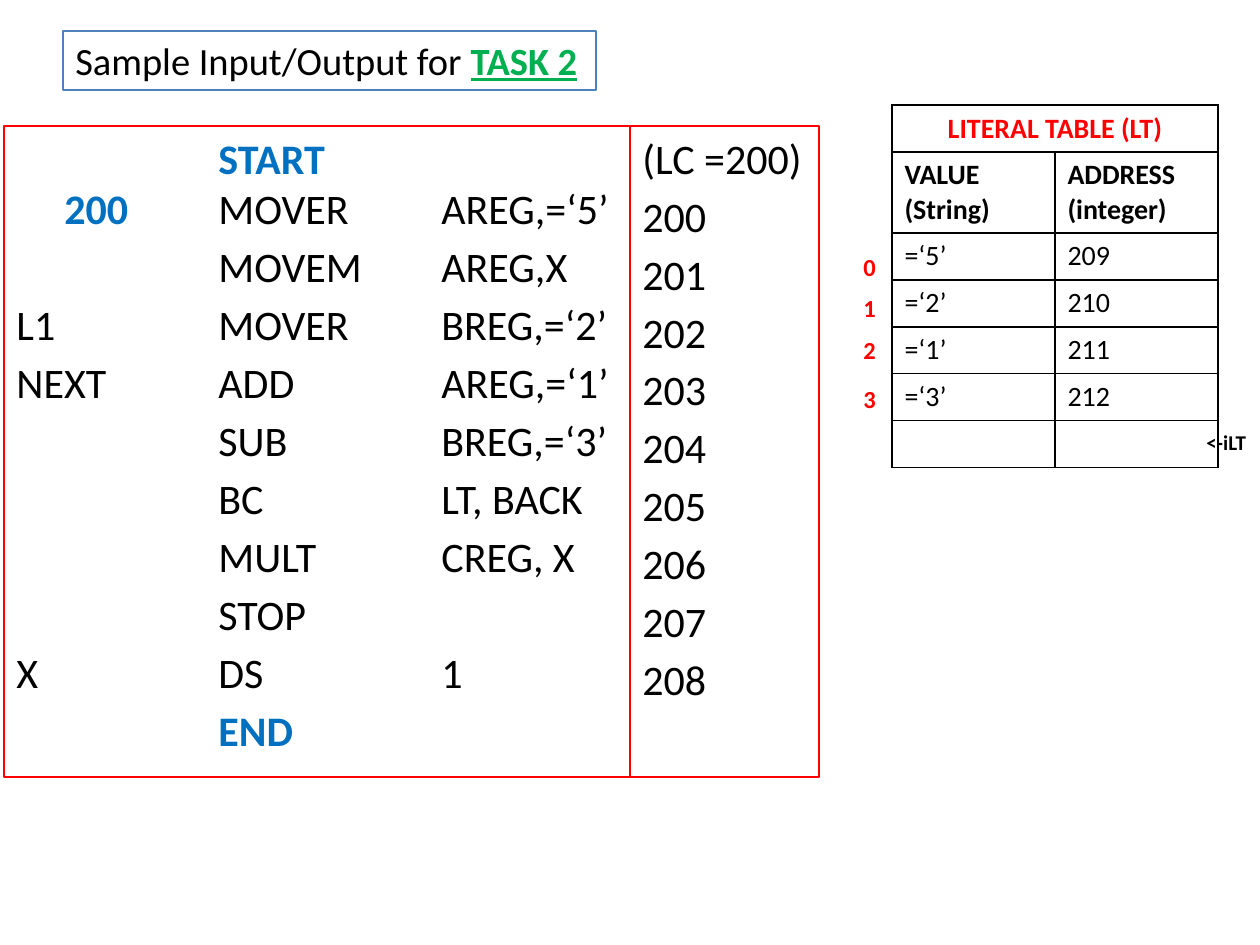
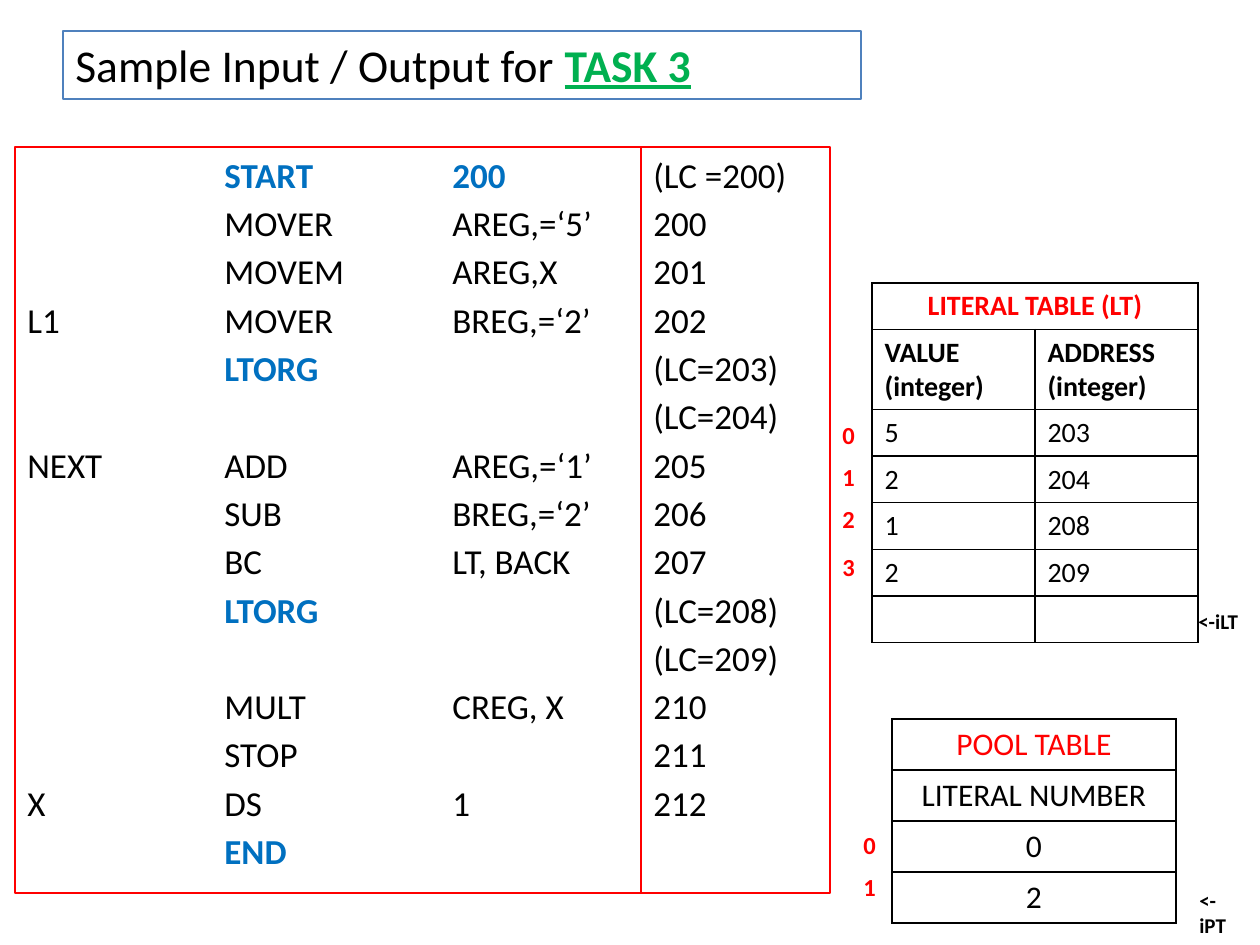
from lxml import etree
from pptx import Presentation
from pptx.dml.color import RGBColor
from pptx.enum.shapes import MSO_SHAPE
from pptx.enum.text import MSO_ANCHOR, MSO_AUTO_SIZE, PP_ALIGN
from pptx.oxml.ns import qn
from pptx.util import Emu, Pt

PIXEL = 914400 // 126
FONT = "Calibri"
COLORS = {
    "text": "000000",
    "heading": "FF0000",
    "directive": "0070C0",
    "task": "00B050",
    "title_line": "4F81BD",
    "panel_line": "FF0000",
    "grid": "000000",
}
DIRECTIVES = {"START", "LTORG", "END", "200"}
HANGING = 48

TASK2_PROGRAM = [
    ("", "START"),
    ("\t200", "MOVER", "AREG,=‘5’"),
    ("", "MOVEM", "AREG,X"),
    ("L1", "MOVER", "BREG,=‘2’"),
    ("NEXT", "ADD", "AREG,=‘1’"),
    ("", "SUB", "BREG,=‘3’"),
    ("", "BC", "LT, BACK"),
    ("", "MULT", "CREG, X"),
    ("", "STOP"),
    ("X", "DS", "1"),
    ("", "END"),
]
TASK3_PROGRAM = [
    ("", "START", "200"),
    ("", "MOVER", "AREG,=‘5’"),
    ("", "MOVEM", "AREG,X"),
    ("L1", "MOVER", "BREG,=‘2’"),
    ("", "LTORG"),
    (),
    ("NEXT", "ADD", "AREG,=‘1’"),
    ("", "SUB", "BREG,=‘2’"),
    ("", "BC", "LT, BACK"),
    ("", "LTORG"),
    (),
    ("", "MULT", "CREG, X"),
    ("", "STOP"),
    ("X", "DS", "1"),
    ("", "END"),
]
TASK2_COUNTER = ["(LC =200)"] + [str(n) for n in range(200, 209)]
TASK3_COUNTER = ["(LC =200)"] + [
    f"(LC={n})" if n in (203, 204, 208, 209) else str(n) for n in range(200, 213)
]


def px(length):
    """Turn pixels into EMU."""
    return Emu(round(length * PIXEL))


def style(font, size, color="text", bold=False):
    """Set typeface, size, colour and weight of a font."""
    font.name = FONT
    font.size = Pt(size)
    font.bold = bold
    font.color.rgb = RGBColor.from_string(COLORS[color])


def add_frame(slide, box, line):
    """Add an unfilled outlined rectangle and return its text frame."""
    frame = slide.shapes.add_shape(MSO_SHAPE.RECTANGLE, *map(px, box))
    frame.shadow.inherit = False
    frame.fill.background()
    frame.line.color.rgb = RGBColor.from_string(COLORS[line])
    frame.line.width = Pt(0.75)
    frame.text_frame.word_wrap = True
    frame.text_frame.vertical_anchor = MSO_ANCHOR.TOP
    return frame.text_frame


def add_title(slide, width, height, lead, task, size):
    """Add the boxed title with its underlined task name."""
    frame = add_frame(slide, (63, 31, width, height), "title_line")
    title = frame.paragraphs[0]
    title.alignment = PP_ALIGN.LEFT
    for words, color, marked in ((lead, "text", False), (task, "task", True)):
        run = title.add_run()
        run.text = words
        style(run.font, size, color, marked)
        run.font.underline = marked


def set_tabs(paragraph, stops):
    """Give a paragraph left tab stops at the given pixels."""
    tabs = etree.SubElement(paragraph._p.get_or_add_pPr(), qn("a:tabLst"))
    for stop in stops:
        etree.SubElement(tabs, qn("a:tab"), pos=str(px(stop)), algn="l")


def add_listing(slide, box, lines, size, stops=()):
    """Add a panel of tabbed program lines, with directives highlighted."""
    frame = add_frame(slide, box, "panel_line")
    for number, fields in enumerate(lines):
        line = frame.add_paragraph() if number else frame.paragraphs[0]
        line.alignment = PP_ALIGN.LEFT
        carried_over = bool(fields) and fields[0].startswith("\t")
        if stops:
            set_tabs(line, [HANGING, *stops] if carried_over else stops)
        line.space_before = Pt(0 if carried_over or not number else size * 0.18)
        style(line.font, size)
        for column, field in enumerate(fields):
            run = line.add_run()
            run.text = "\t" + field if column else field
            directive = bool(stops) and field.strip() in DIRECTIVES
            style(run.font, size, "directive" if directive else "text", directive)


def add_label(slide, left, top, words, size, color="text"):
    """Add a small bold label that does not wrap."""
    width, height = (38, 43) if len(words) == 1 else (66, 38)
    box = slide.shapes.add_textbox(*map(px, (left, top, width, height)))
    box.text_frame.word_wrap = False
    box.text_frame.auto_size = MSO_AUTO_SIZE.SHAPE_TO_FIT_TEXT
    label = box.text_frame.paragraphs[0]
    label.text = words
    style(label.font, size, color, True)


def add_indexes(slide, left, tops):
    """Number table rows from zero beside the table."""
    for index, top in enumerate(tops):
        add_label(slide, left, top, str(index), 14, "heading")


def outline_cell(cell):
    """Draw thin lines on all sides of an unfilled cell."""
    borders = cell._tc.get_or_add_tcPr()
    for side in ("a:lnL", "a:lnR", "a:lnT", "a:lnB"):
        edge = etree.SubElement(borders, qn(side), w=str(Pt(1)))
        fill = etree.SubElement(edge, qn("a:solidFill"))
        etree.SubElement(fill, qn("a:srgbClr"), val=COLORS["grid"])
    cell.fill.background()


def add_grid(slide, left, top, column_width, row_height, rows, size,
             bold_rows=0, centered=False):
    """Add a table whose first row is a red heading over all columns."""
    columns = len(rows[-1])
    grid = slide.shapes.add_table(
        len(rows), columns, px(left), px(top),
        px(column_width * columns), px(row_height * len(rows))).table
    grid.first_row = grid.horz_banding = False
    for column in grid.columns:
        column.width = px(column_width)
    for r, values in enumerate(rows):
        grid.rows[r].height = px(row_height)
        for c in range(columns):
            cell = grid.cell(r, c)
            outline_cell(cell)
            entry = cell.text_frame.paragraphs[0]
            if c < len(values) and values[c]:
                entry.text = values[c]
            if centered or r == 0:
                entry.alignment = PP_ALIGN.CENTER
            style(entry.font, size, "text" if r else "heading", r < bold_rows)
    if columns > 1:
        grid.cell(0, 0).merge(grid.cell(0, columns - 1))


def add_literal_table(slide, left, top, value_type, literals):
    """Add the literal table with one free row at its end."""
    rows = [("LITERAL TABLE (LT)",),
            (f"VALUE ({value_type})", "ADDRESS (integer)"),
            *literals, ("", "")]
    add_grid(slide, left, top, 163, 46.67, rows, 16, bold_rows=2)


def build_task2(slide):
    """Lay out the sample for task 2."""
    add_listing(slide, (4, 126, 626, 651), TASK2_PROGRAM, 24, (202, 425))
    add_listing(slide, (630, 126, 189, 651), [(n,) for n in TASK2_COUNTER], 24)
    add_literal_table(slide, 892, 105, "String", [
        ("=‘5’", "209"), ("=‘2’", "210"), ("=‘1’", "211"), ("=‘3’", "212")])
    add_indexes(slide, 851, (246, 287, 329, 378))
    add_label(slide, 1194, 423, "<-iLT", 12)
    add_title(slide, 533, 59, "Sample Input/Output for ", "TASK 2", 22)


def build_task3(slide):
    """Lay out the sample for task 3."""
    add_listing(slide, (15, 147, 626, 746), TASK3_PROGRAM, 20, (197, 425))
    add_listing(slide, (641, 147, 189, 746), [(n,) for n in TASK3_COUNTER], 20)
    add_literal_table(slide, 872, 283, "integer", [
        ("5", "203"), ("2", "204"), ("1", "208"), ("2", "209")])
    add_indexes(slide, 830, (414, 456, 498, 546))
    add_label(slide, 1186, 602, "<-iLT", 12)
    add_grid(slide, 892, 719, 284, 51,
             [("POOL TABLE",), ("LITERAL NUMBER",), ("0",), ("2",)],
             18, centered=True)
    add_indexes(slide, 851, (824, 866))
    add_label(slide, 1187, 881, "<-iPT", 12)
    add_title(slide, 798, 68, "Sample Input / Output for ", "TASK 3", 26)


def main():
    """Build both slides and save them."""
    deck = Presentation()
    deck.slide_width, deck.slide_height = px(1260), px(945)
    blank = deck.slide_layouts[6]
    for build in (build_task2, build_task3):
        build(deck.slides.add_slide(blank))
    deck.save("out.pptx")


main()
